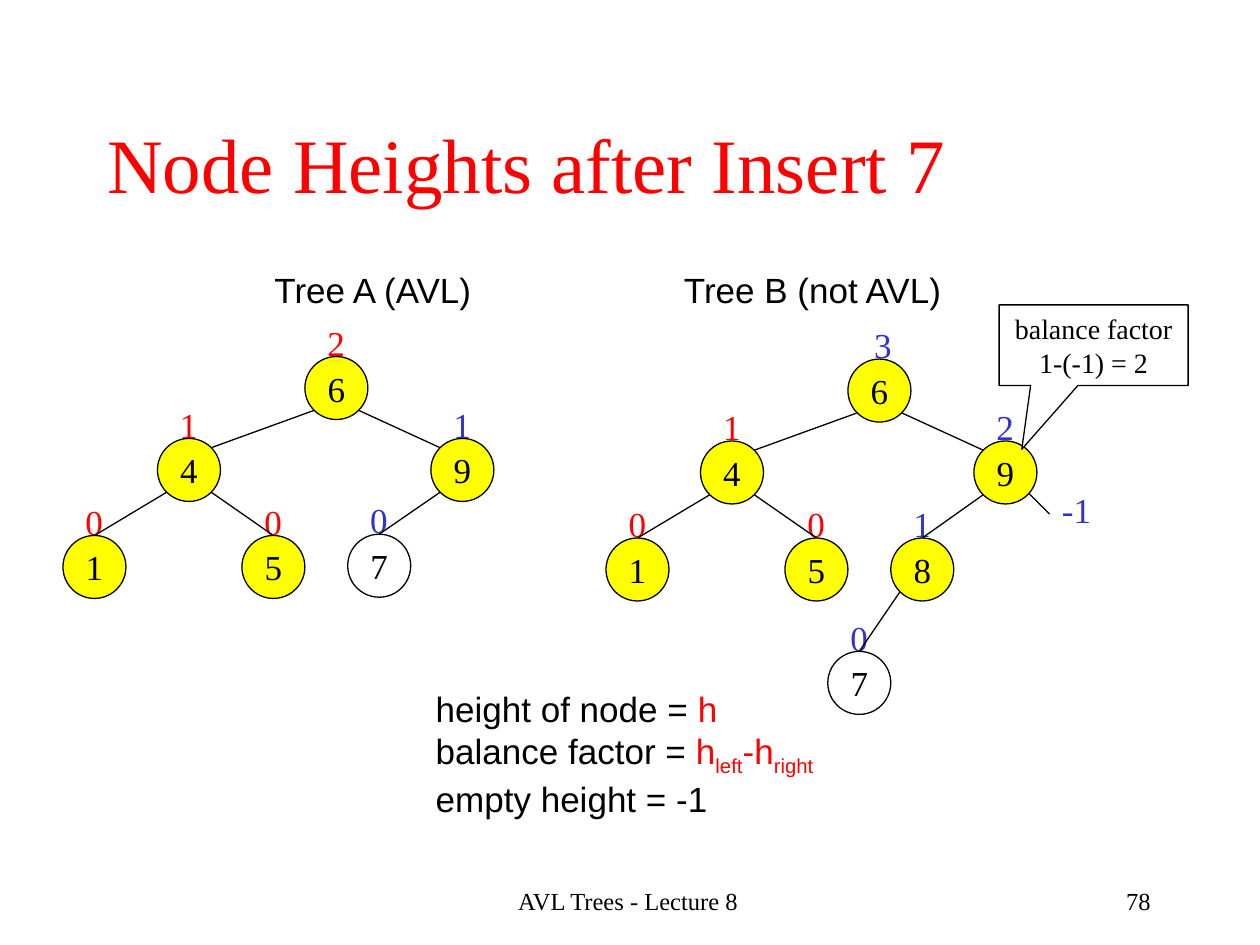
from dataclasses import dataclass
from math import sqrt
from typing import Optional

from lxml.etree import SubElement
from pptx import Presentation
from pptx.dml.color import RGBColor
from pptx.enum.shapes import MSO_CONNECTOR as Connector, MSO_SHAPE as Preset
from pptx.enum.text import MSO_ANCHOR as Anchor, MSO_AUTO_SIZE as AutoSize, PP_ALIGN as Align
from pptx.oxml.ns import qn
from pptx.util import Inches, Pt

CELL = Inches(0.1)
COLUMNS, ROWS = 100, 75
RADIUS = 2.5
CORNER = RADIUS / sqrt(2)
SERIF, SANS = "Times New Roman", "Arial"
BLACK, WHITE, RED, BLUE, YELLOW = "000000", "FFFFFF", "FF0000", "3333CC", "FFFF00"


@dataclass(frozen=True)
class Run:
    text: str
    color: str = BLACK
    baseline: int = 0


@dataclass(frozen=True)
class Node:
    key: str
    column: float
    row: float
    height: str
    height_color: str
    parent: Optional[str] = None
    fill: Optional[str] = YELLOW
    label_shift: float = 0


@dataclass(frozen=True)
class Tree:
    caption: str
    caption_column: float
    caption_width: float
    column: float
    row: float
    nodes: tuple


LEFT_BRANCH = (
    Node("4", -11.7, 6.5, "1", RED, "6"),
    Node("1", -19.2, 14.2, "0", RED, "4"),
    Node("5", -5, 14.2, "0", RED, "4"),
)
TREES = (
    Tree("Tree A (AVL)", 20.8, 18.3, 26.7, 30.8, (
        Node("6", 0, 0, "2", RED),
        *LEFT_BRANCH,
        Node("9", 10, 6.5, "1", BLUE, "6"),
        Node("7", 3.4, 14.1, "0", BLUE, "9", fill=None),
    )),
    Tree("Tree B (not AVL)", 53.3, 25, 69.8, 31, (
        Node("6", 0, 0, "3", BLUE, label_shift=0.3),
        *LEFT_BRANCH,
        Node("9", 10, 6.5, "2", BLUE, "6"),
        Node("8", 3.4, 14.2, "1", BLUE, "9"),
        Node("7", -1.6, 23.2, "0", BLUE, "8", fill=None),
    )),
)


def cells(*lengths: float) -> list:
    return [round(length * CELL) for length in lengths]


def rgb(color: str) -> RGBColor:
    return RGBColor.from_string(color)


def write(shape, *lines, font=SERIF, size=20, color=BLACK, align=Align.LEFT,
          anchor=Anchor.TOP, wrap=False, auto_size=AutoSize.NONE) -> None:
    frame = shape.text_frame
    frame.word_wrap = wrap
    frame.auto_size = auto_size
    frame.vertical_anchor = anchor
    for index, line in enumerate(lines):
        paragraph = frame.add_paragraph() if index else frame.paragraphs[0]
        paragraph.alignment = align
        for piece in (Run(line, color),) if isinstance(line, str) else line:
            run = paragraph.add_run()
            run.text = piece.text
            run.font.name = font
            run.font.size = Pt(size)
            run.font.color.rgb = rgb(piece.color)
            if piece.baseline:
                run._r.get_or_add_rPr().set("baseline", str(piece.baseline * 1000))


def add_text(slide, left: float, top: float, width: float, height: float, *lines, **style) -> None:
    write(slide.shapes.add_textbox(*cells(left, top, width, height)), *lines, **style)


def add_label(slide, left: float, top: float, text: str, color: str, width: float = 3.4) -> None:
    add_text(slide, left, top, width, 4.4, text, color=color, auto_size=AutoSize.SHAPE_TO_FIT_TEXT)


def add_outlined(slide, preset, left: float, top: float, width: float, height: float,
                 fill: Optional[str]):
    shape = slide.shapes.add_shape(preset, *cells(left, top, width, height))
    shape.shadow.inherit = False
    if fill:
        shape.fill.solid()
        shape.fill.fore_color.rgb = rgb(fill)
    else:
        shape.fill.background()
    shape.line.color.rgb = rgb(BLACK)
    shape.line.width = Pt(0.75)
    return shape


def add_edge(slide, start: tuple, end: tuple) -> None:
    connector = slide.shapes.add_connector(Connector.STRAIGHT, *cells(*start, *end))
    connector.line.color.rgb = rgb(BLACK)
    connector.line.width = Pt(0.75)
    SubElement(connector._element.spPr, qn("a:effectLst"))


def draw_tree(slide, tree: Tree) -> None:
    add_text(slide, tree.caption_column, 20.8, tree.caption_width, 4.4, tree.caption,
             font=SANS, wrap=True, auto_size=AutoSize.SHAPE_TO_FIT_TEXT)
    centers = {node.key: (tree.column + node.column, tree.row + node.row) for node in tree.nodes}
    root = tree.nodes[0].key
    for node in tree.nodes:
        column, row = centers[node.key]
        add_label(slide, column - 1.7 + node.label_shift, row - 5.8, node.height, node.height_color)
        circle = add_outlined(slide, Preset.OVAL, column - RADIUS, row - RADIUS,
                              2 * RADIUS, 2 * RADIUS, node.fill)
        write(circle, node.key, align=Align.CENTER, anchor=Anchor.MIDDLE)
        if node.parent:
            parent_column, parent_row = centers[node.parent]
            side = CORNER if column > parent_column else -CORNER
            start = (parent_column + side, parent_row + CORNER)
            end = (column - side, row - CORNER) if node.parent == root else (column, row - RADIUS)
            add_edge(slide, start, end)


def main() -> None:
    presentation = Presentation()
    presentation.slide_width, presentation.slide_height = cells(COLUMNS, ROWS)
    slide = presentation.slides.add_slide(presentation.slide_layouts[5])

    title = slide.shapes.title
    title.left, title.top, title.width, title.height = cells(7.5, 6.7, 85, 12.5)
    write(title, "Node Heights after Insert 7", size=44, color=RED, anchor=Anchor.MIDDLE, wrap=True)
    add_text(slide, 34, 69.8, 31.7, 5, "AVL Trees - Lecture 8", size=14, align=Align.CENTER, wrap=True)
    add_text(slide, 71.5, 69.8, 20.8, 5, "78", size=14, align=Align.RIGHT, wrap=True)

    for tree in TREES:
        draw_tree(slide, tree)

    add_edge(slide, (81.7, 39.2), (83.3, 40.8))
    add_label(slide, 83.3, 38.3, "-1", BLUE, width=4.3)

    callout = add_outlined(slide, Preset.RECTANGULAR_CALLOUT, 79.3, 24.2, 15, 6.4, WHITE)
    callout.adjustments[0], callout.adjustments[1] = -0.38, 1.29
    write(callout, "balance factor ", "1-(-1) = 2", size=16, align=Align.CENTER,
          anchor=Anchor.MIDDLE, auto_size=AutoSize.SHAPE_TO_FIT_TEXT)

    add_text(slide, 33.6, 54.1, 32, 11.5,
             (Run("height of node = "), Run("h", RED)),
             (Run("balance factor = "), Run("h", RED), Run("left", RED, -25),
              Run("-h", RED), Run("right", RED, -25)),
             "empty height = -1",
             font=SANS, auto_size=AutoSize.SHAPE_TO_FIT_TEXT)

    presentation.save("out.pptx")


if __name__ == "__main__":
    main()
